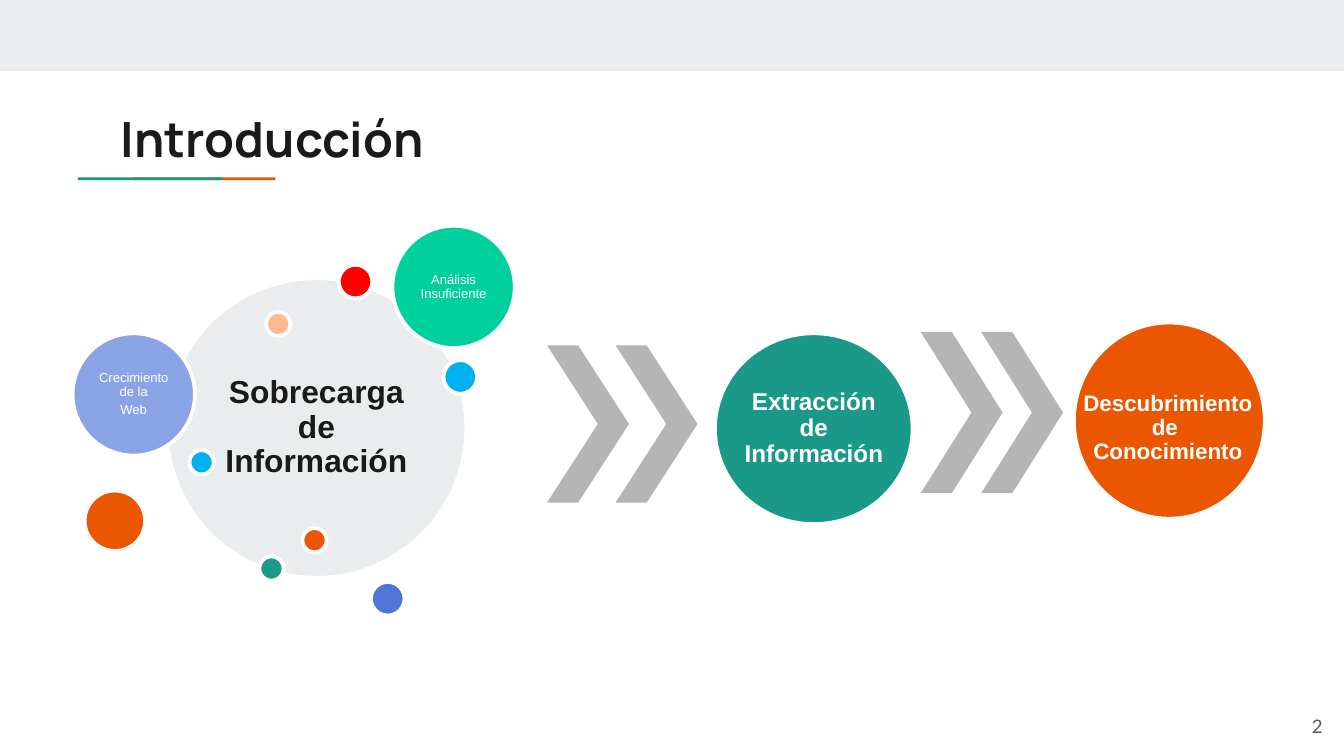
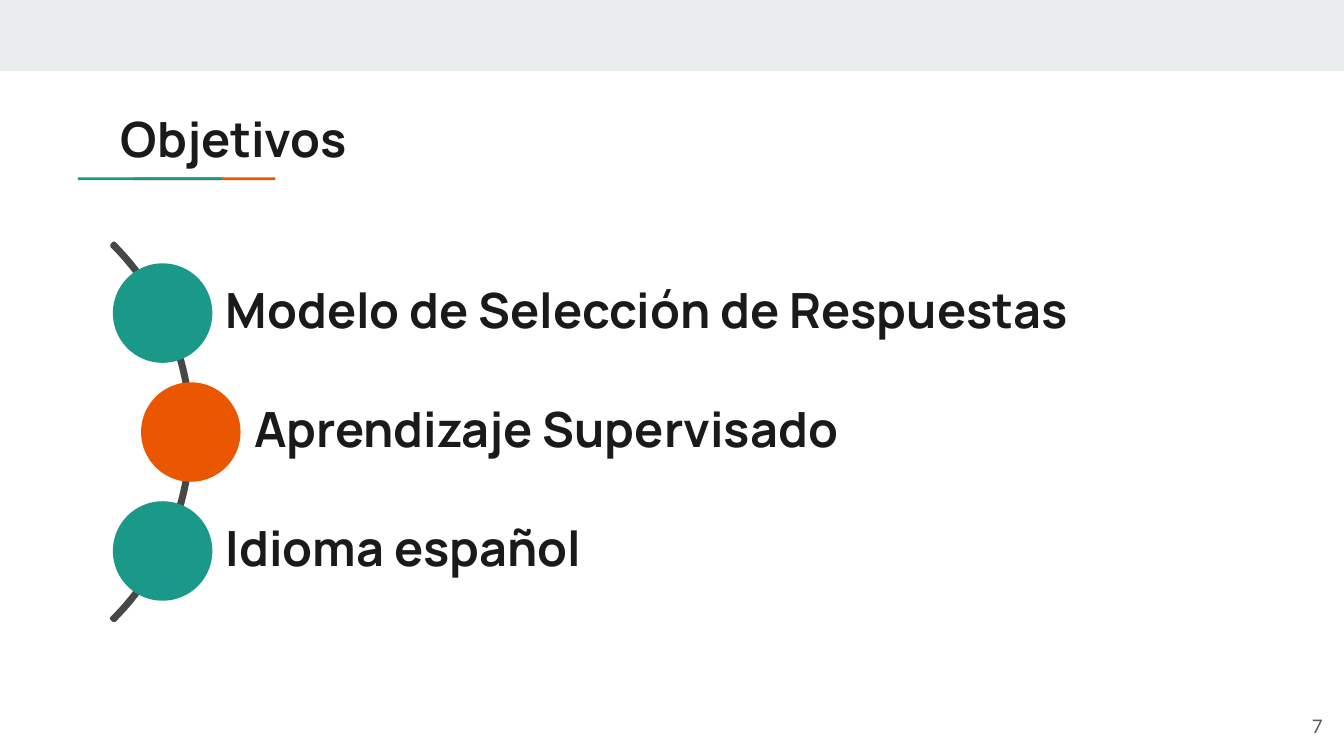
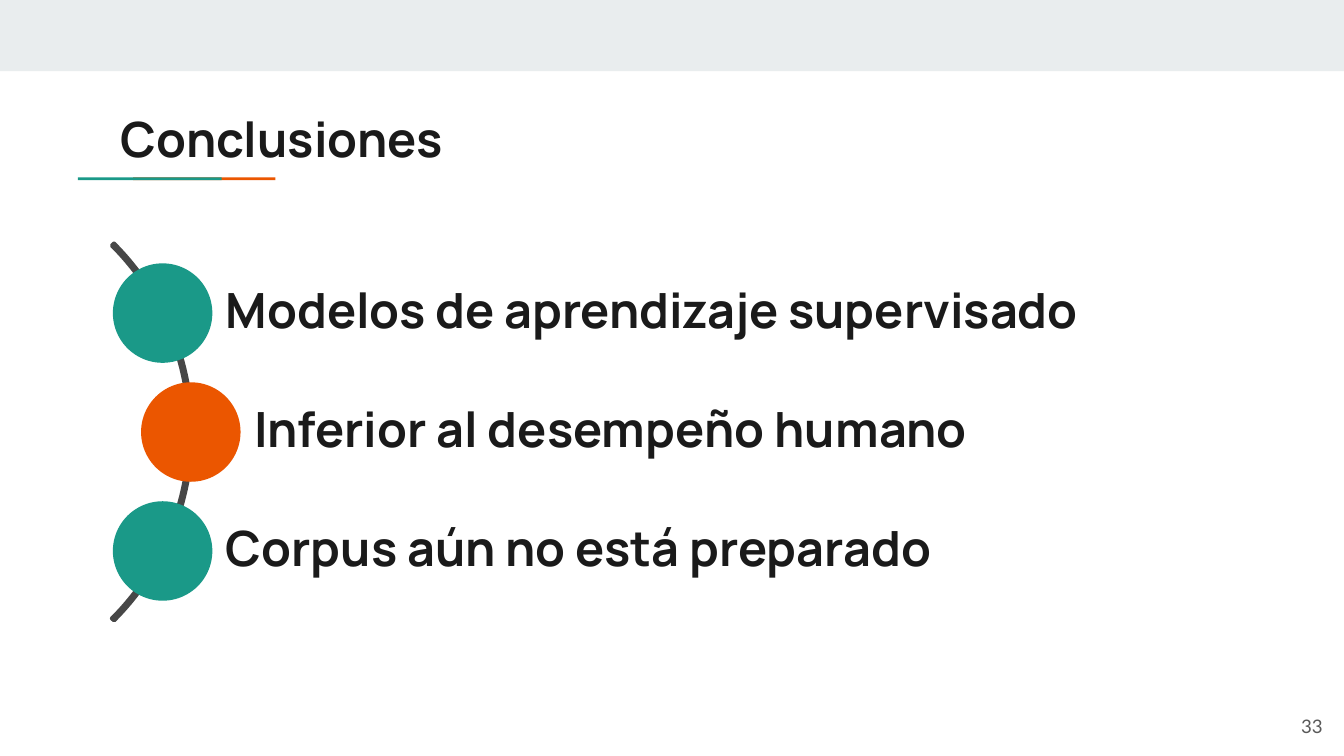
import pptx
import pptx.dml.color
import pptx.enum.shapes
import pptx.enum.text
import pptx.util

Inches = pptx.util.Inches
Pt = pptx.util.Pt
Shape = pptx.enum.shapes.MSO_SHAPE
Align = pptx.enum.text.PP_ALIGN
Anchor = pptx.enum.text.MSO_ANCHOR

COLORS = {
    "white": "FFFFFF", "ink": "1A1A1A", "number": "595959", "pale": "E9EDEE",
    "teal": "1A9988", "orange": "EB5600", "chevron": "B5B5B5", "arc": "474747",
    "red": "FF0000", "blue": "4F75D6", "peach": "FFB991", "sky": "00B0F0",
    "lavender": "8AA3E4", "mint": "00D09D",
}

# Content
INTRO = ("Introducción", "2")
LISTS = [
    ("Objetivos", "7", ["Modelo de Selección de Respuestas",
                        "Aprendizaje Supervisado",
                        "Idioma español"]),
    ("Conclusiones", "33", ["Modelos de aprendizaje supervisado",
                            "Inferior al desempeño humano",
                            "Corpus aún no está preparado"]),
]

# Overload cluster: left, top, diameter, fill
DOTS = [
    (2.52, 1.97, 0.25, "red"), (1.93, 4.14, 0.18, "teal"),
    (2.76, 4.33, 0.25, "blue"), (1.98, 2.32, 0.18, "peach"),
    (1.41, 3.35, 0.18, "sky"), (0.63, 3.65, 0.45, "orange"),
    (3.3, 2.68, 0.25, "sky"), (2.25, 3.93, 0.18, "orange"),
]
# Labelled circles: left, top, width, height, fill, paragraphs, text format
BUBBLES = [
    (1.24, 2.07, 2.23, 2.23, "pale", ["Sobrecarga de Información"],
     {"size": 17, "color": "ink", "bold": True}),
    (0.54, 2.48, 0.91, 0.91, "lavender", ["Crecimiento de la", "Web"],
     {"size": 7, "insets": (0.02,) * 4}),
    (2.92, 1.68, 0.91, 0.91, "mint", ["Análisis Insuficiente"],
     {"size": 7, "insets": (0.02,) * 4}),
    (5.32, 2.48, 1.47, 1.42, "teal", ["Extracción de Información"],
     {"size": 13, "bold": True}),
]
DISCOVERY = ["Descubrimiento de \nConocimiento"]
# Chevron pairs: left of each, top, height
CHEVRONS = [((4.07, 4.58), 2.57, 1.17), ((6.85, 7.3), 2.47, 1.2)]


def rgb(name):
    return pptx.dml.color.RGBColor.from_string(COLORS[name])


def place(left, top, width, height):
    return [Inches(value) for value in (left, top, width, height)]


def write(shape, paragraphs, size, font="Arial", color="white", bold=False,
          align=Align.CENTER, anchor=Anchor.MIDDLE, insets=(0, 0, 0, 0),
          line_spacing=0.9, space_after=0.35):
    """Fill a shape with text; space_after is a share of the text size."""
    frame = shape.text_frame
    frame.word_wrap = True
    frame.auto_size = pptx.enum.text.MSO_AUTO_SIZE.NONE
    frame.vertical_anchor = anchor
    (frame.margin_left, frame.margin_top,
     frame.margin_right, frame.margin_bottom) = map(Inches, insets)
    for index, text in enumerate(paragraphs):
        para = frame.add_paragraph() if index else frame.paragraphs[0]
        para.text = text
        para.alignment = align
        para.line_spacing = line_spacing
        para.space_after = Pt(size * space_after)
        for span in para.runs:
            span.font.name = font
            span.font.size = Pt(size)
            span.font.bold = bold
            span.font.color.rgb = rgb(color)


def draw(page, kind, at, fill=None, line=None, adjust=()):
    shape = page.shapes.add_shape(kind, *place(*at))
    shape.shadow.inherit = False
    if fill:
        shape.fill.solid()
        shape.fill.fore_color.rgb = rgb(fill)
    else:
        shape.fill.background()
    if line:
        shape.line.color.rgb = rgb(line)
        shape.line.width = Pt(2)
    else:
        shape.line.fill.background()
    for index, value in enumerate(adjust):
        shape.adjustments[index] = value
    return shape


def decorate_layout(page):
    """Draw the band and title rule, then move them to the page's layout."""
    parts = [
        draw(page, Shape.RECTANGLE, (0, 0, 10, 0.53), "pale"),
        draw(page, Shape.RECTANGLE, (0.99, 1.32, 1.06, 0.02), "orange"),
        draw(page, Shape.RECTANGLE, (0.58, 1.32, 1.07, 0.02), "teal"),
    ]
    for depth, part in enumerate(parts):
        page.slide_layout.shapes.element.insert(2 + depth, part.element)


def add_page(deck, title, number):
    page = deck.slides.add_slide(deck.slide_layouts[5])
    heading = page.shapes.title
    heading.left, heading.top, heading.width, heading.height = place(0.8, 0.71, 8.41, 0.59)
    write(heading, [title], 26, font="Manrope", color="ink", bold=True, align=Align.LEFT,
          anchor=Anchor.TOP, insets=(0.1,) * 4, line_spacing=1, space_after=0)
    box = page.shapes.add_textbox(*place(9.34, 5.19, 0.6, 0.43))
    write(box, [number], 10, font="Lato", color="number", align=Align.RIGHT,
          insets=(0.1,) * 4, line_spacing=1, space_after=0)
    return page


def add_process(page):
    for lefts, top, height in CHEVRONS:
        for left in lefts:
            draw(page, Shape.CHEVRON, (left, top, 0.61, height), "chevron", adjust=[0.62])

    # The last label is wider than its circle's text area
    draw(page, Shape.OVAL, (7.99, 2.4, 1.42, 1.46), "orange", "white")
    box = page.shapes.add_textbox(*place(8.03, 2.67, 1.32, 1.03))
    write(box, DISCOVERY, 12, bold=True)

    # Circles with their labels, then the loose dots
    for left, top, width, height, fill, paragraphs, style in BUBBLES:
        bubble = draw(page, Shape.OVAL, (left, top, width, height), fill, "white")
        write(bubble, paragraphs, **style)
    for left, top, diameter, fill in DOTS:
        draw(page, Shape.OVAL, (left, top, diameter, diameter), fill, "white")


def add_arc_list(page, items):
    draw(page, Shape.BLOCK_ARC, (-2.54, 1.23, 3.97, 3.97), line="arc",
         adjust=[189, 27, 0.006])
    diameter, bar_height, right = 0.74, 0.59, 9.17
    first_y, last_y = 2.33, 4.1
    step = (last_y - first_y) / (len(items) - 1)
    for index, item in enumerate(items):
        middle = index % 2 == 1
        center_x = 1.42 if middle else 1.21
        center_y = first_y + step * index
        box = page.shapes.add_textbox(
            *place(center_x, center_y - bar_height / 2, right - center_x, bar_height))
        box.line.color.rgb = rgb("white")
        box.line.width = Pt(2)
        write(box, [item], 26, font="Manrope", color="ink", bold=True,
              align=Align.LEFT, insets=(0.47, 0.07, 0.07, 0.07))
        draw(page, Shape.OVAL,
             (center_x - diameter / 2, center_y - diameter / 2, diameter, diameter),
             "orange" if middle else "teal")


def main():
    deck = pptx.Presentation()
    # Widescreen, 16 to 9
    deck.slide_width = Inches(10)
    deck.slide_height = Inches(10 * 9 / 16)
    page = add_page(deck, *INTRO)
    decorate_layout(page)
    add_process(page)
    for title, number, items in LISTS:
        add_arc_list(add_page(deck, title, number), items)
    deck.save("out.pptx")


if __name__ == "__main__":
    main()
